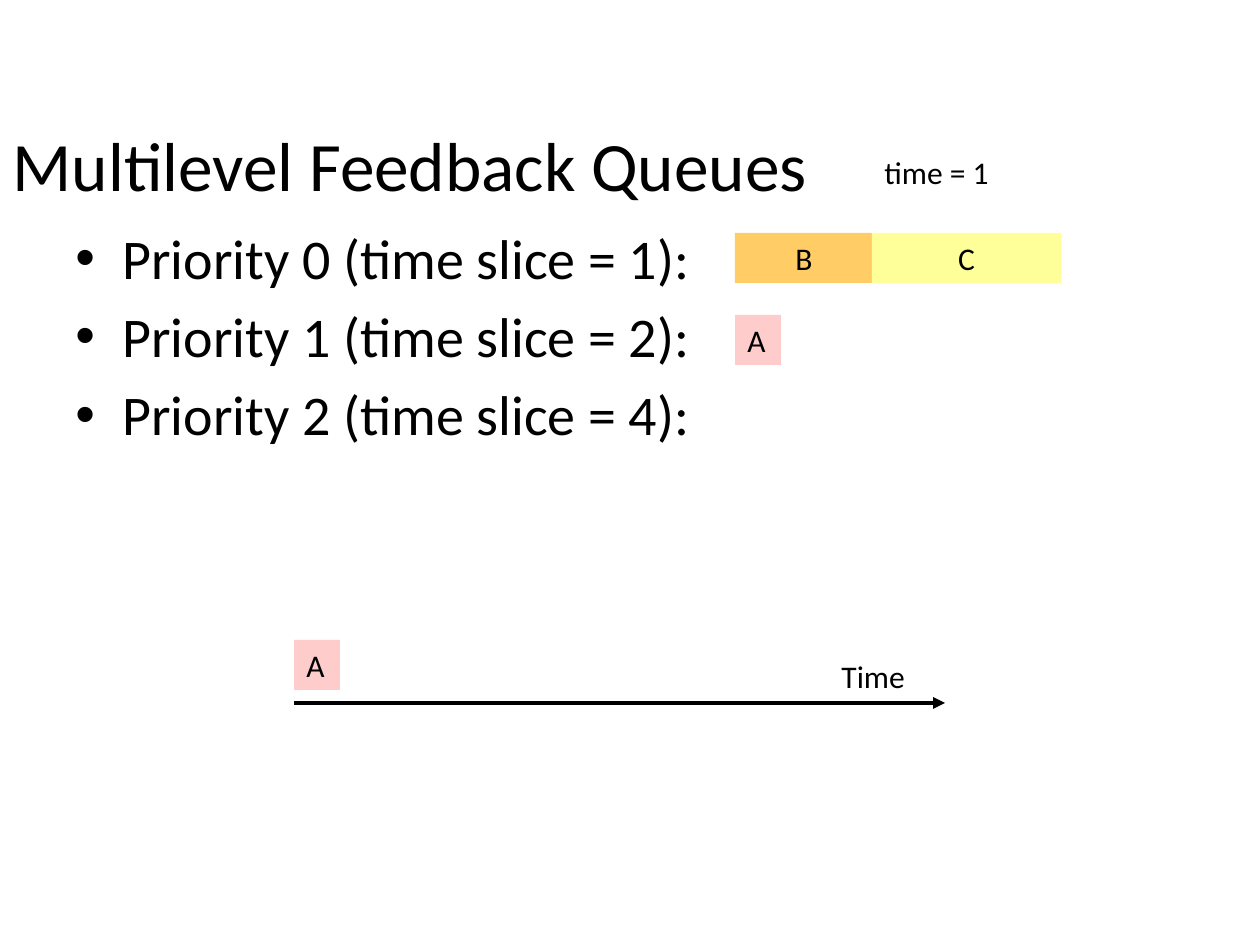
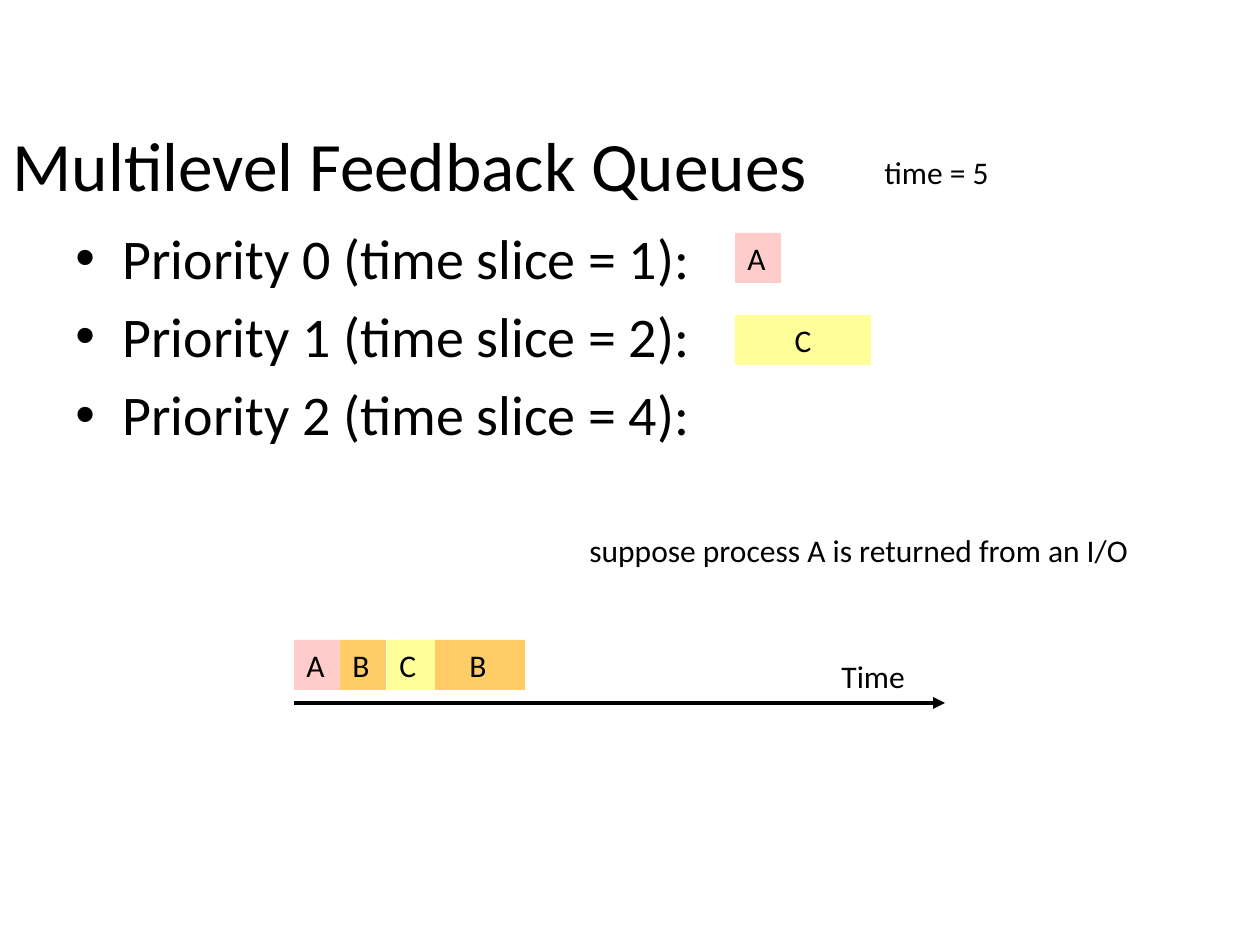
from lxml import etree
from pptx import Presentation
from pptx import util as u
from pptx.dml.color import RGBColor
from pptx.enum import shapes, text
from pptx.oxml.ns import qn

# Shared look
PX = 914400 / 126
FONT = "Calibri"
BLACK = RGBColor(0, 0, 0)
FILLS = {
    "A": RGBColor(0xFF, 0xCC, 0xCC),
    "B": RGBColor(0xFF, 0xCC, 0x66),
    "C": RGBColor(0xFF, 0xFF, 0x99),
}
TALL = 50    # height of jobs and labels
SLICE = 48   # widest job that is one time slice long
INDENT = 47
LANES = {"high": 233, "mid": 315, "done": 640}  # top of each row of jobs

# Content
TITLE = "Multilevel Feedback Queues"
LEVELS = [(0, 1), (1, 2), (2, 4)]  # priority, time slice
AXIS = ("Time", 829, 651, 96)
SLIDES = [
    {
        "jobs": [("B", "high", 735, 138), ("C", "high", 872, 189),
                 ("A", "mid", 735, 46), ("A", "done", 294, 46)],
        "labels": [("time = 1", 872, 147, 138)],
    },
    {
        "jobs": [("B", "done", 431, 94), ("A", "done", 294, 46),
                 ("B", "done", 340, 46), ("C", "done", 387, 48),
                 ("C", "mid", 735, 136), ("A", "high", 735, 46)],
        "labels": [("time = 5", 872, 147, 138),
                   ("suppose process A is returned from an I/O", 577, 525, 617)],
    },
]


def px(*vals):
    return [round(v * PX) for v in vals]


def write(para, words, size):
    run = para.add_run()
    run.text = words
    run.font.name = FONT
    run.font.size = u.Pt(size)
    run.font.color.rgb = BLACK


def fit(frame, words, wide):
    """Fill a small frame with one line of text."""
    frame.word_wrap = wide
    frame.auto_size = text.MSO_AUTO_SIZE.SHAPE_TO_FIT_TEXT
    frame.vertical_anchor = text.MSO_ANCHOR.TOP
    para = frame.paragraphs[0]
    para.alignment = text.PP_ALIGN.CENTER if wide else text.PP_ALIGN.LEFT
    write(para, words, 18)


def add_title(slide):
    title = slide.shapes.title
    title.left, title.top, title.width, title.height = px(0, 118, 1134, 91)
    frame = title.text_frame
    frame.vertical_anchor = text.MSO_ANCHOR.MIDDLE
    para = frame.paragraphs[0]
    para.alignment = text.PP_ALIGN.LEFT
    write(para, TITLE, 39.6)


def add_levels(slide):
    frame = slide.shapes.add_textbox(*px(63, 217, 1197, 707)).text_frame
    frame.word_wrap = True
    for i, (level, span) in enumerate(LEVELS):
        para = frame.add_paragraph() if i else frame.paragraphs[0]
        write(para, f"Priority {level} (time slice = {span}):", 32)
        # Bullet, hanging indent and relative spacing
        props = para._p.get_or_add_pPr()
        left, = px(INDENT)
        props.set("marL", str(left))
        props.set("indent", str(-left))
        space = etree.SubElement(props, qn("a:spcBef"))
        etree.SubElement(space, qn("a:spcPct")).set("val", "20000")
        etree.SubElement(props, qn("a:buFont")).set("typeface", "Arial")
        etree.SubElement(props, qn("a:buChar")).set("char", "•")


def add_job(slide, name, lane, left, width):
    job = slide.shapes.add_shape(
        shapes.MSO_SHAPE.RECTANGLE, *px(left, LANES[lane], width, TALL))
    job.shadow.inherit = False
    job.fill.solid()
    job.fill.fore_color.rgb = FILLS[name]
    job.line.fill.background()
    fit(job.text_frame, name, width > SLICE)


def add_label(slide, words, left, top, width):
    box = slide.shapes.add_textbox(*px(left, top, width, TALL))
    fit(box.text_frame, words, False)


def add_axis(slide):
    line = slide.shapes.add_connector(
        shapes.MSO_CONNECTOR.STRAIGHT, *px(294, 703, 945, 703))
    line.line.color.rgb = BLACK
    line.line.width = u.Pt(2.25)
    etree.SubElement(line.line._get_or_add_ln(), qn("a:tailEnd")).set("type", "triangle")
    etree.SubElement(line._element.spPr, qn("a:effectLst"))
    add_label(slide, *AXIS)


def main():
    deck = Presentation()
    deck.slide_width, deck.slide_height = px(1260, 945)
    for data in SLIDES:
        slide = deck.slides.add_slide(deck.slide_layouts[5])
        add_title(slide)
        add_levels(slide)
        for job in data["jobs"]:
            add_job(slide, *job)
        for label in data["labels"]:
            add_label(slide, *label)
        add_axis(slide)
    deck.save("out.pptx")


if __name__ == "__main__":
    main()
